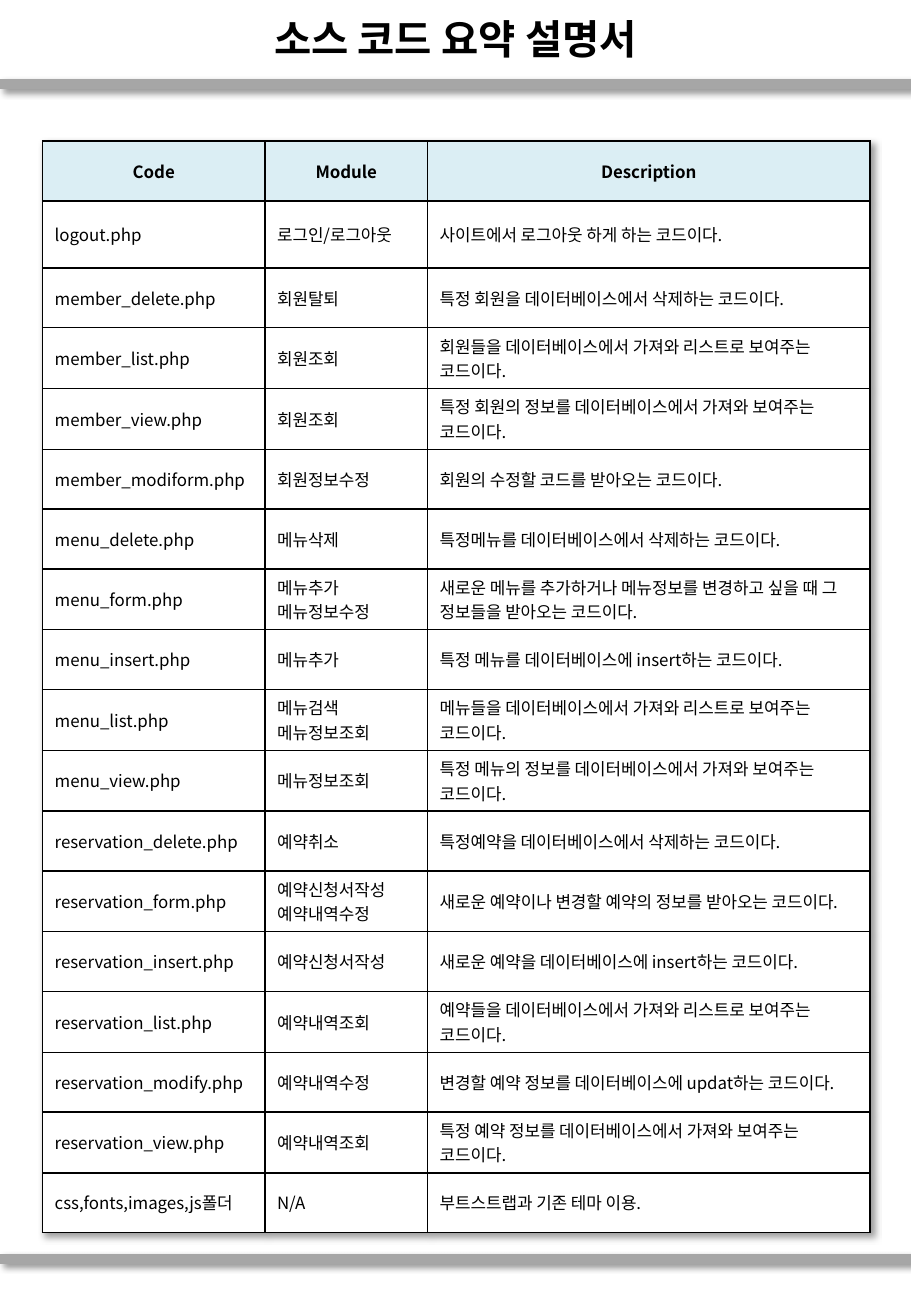
from lxml import etree
from pptx import Presentation
from pptx.dml.color import RGBColor
from pptx.enum.shapes import MSO_CONNECTOR
from pptx.enum.text import MSO_ANCHOR, MSO_AUTO_SIZE, PP_ALIGN
from pptx.oxml import parse_xml
from pptx.oxml.ns import nsdecls, qn
from pptx.util import Cm, Pt

STRAIGHT = MSO_CONNECTOR.STRAIGHT
MIDDLE = MSO_ANCHOR.MIDDLE
NO_FIT = MSO_AUTO_SIZE.NONE
CENTER, LEFT = PP_ALIGN.CENTER, PP_ALIGN.LEFT

BLACK = RGBColor(0x00, 0x00, 0x00)
WHITE = RGBColor(0xFF, 0xFF, 0xFF)
GRAY = RGBColor(0xA6, 0xA6, 0xA6)
AQUA = RGBColor(0xDB, 0xEE, 0xF4)

LATIN = "Arial"
HANGUL = "Noto Sans CJK KR"

WIDTH, HEIGHT = Cm(19.05), Cm(27.51)
COLS = (4.65, 3.4, 9.25)
ROW, TALL = 1.25, 1.4

HEAD = ("Code", "Module", "Description")
FILES = [
    ("logout.php", "로그인/로그아웃", "사이트에서 로그아웃 하게 하는 코드이다."),
    ("member_delete.php", "회원탈퇴", "특정 회원을 데이터베이스에서 삭제하는 코드이다."),
    ("member_list.php", "회원조회",
     "회원들을 데이터베이스에서 가져와 리스트로 보여주는 코드이다."),
    ("member_view.php", "회원조회",
     "특정 회원의 정보를 데이터베이스에서 가져와 보여주는 코드이다."),
    ("member_modiform.php", "회원정보수정", "회원의 수정할 코드를 받아오는 코드이다."),
    ("menu_delete.php", "메뉴삭제", "특정메뉴를 데이터베이스에서 삭제하는 코드이다."),
    ("menu_form.php", "메뉴추가\n메뉴정보수정",
     "새로운 메뉴를 추가하거나 메뉴정보를 변경하고 싶을 때 그 정보들을 받아오는 코드이다."),
    ("menu_insert.php", "메뉴추가", "특정 메뉴를 데이터베이스에 insert하는 코드이다."),
    ("menu_list.php", "메뉴검색\n메뉴정보조회",
     "메뉴들을 데이터베이스에서 가져와 리스트로 보여주는 코드이다."),
    ("menu_view.php", "메뉴정보조회",
     "특정 메뉴의 정보를 데이터베이스에서 가져와 보여주는 코드이다."),
    ("reservation_delete.php", "예약취소",
     "특정예약을 데이터베이스에서 삭제하는 코드이다."),
    ("reservation_form.php", "예약신청서작성\n예약내역수정",
     "새로운 예약이나 변경할 예약의 정보를 받아오는 코드이다."),
    ("reservation_insert.php", "예약신청서작성",
     "새로운 예약을 데이터베이스에 insert하는 코드이다."),
    ("reservation_list.php", "예약내역조회",
     "예약들을 데이터베이스에서 가져와 리스트로 보여주는 코드이다."),
    ("reservation_modify.php", "예약내역수정",
     "변경할 예약 정보를 데이터베이스에 updat하는 코드이다."),
    ("reservation_view.php", "예약내역조회",
     "특정 예약 정보를 데이터베이스에서 가져와 보여주는 코드이다."),
    ("css,fonts,images,js폴더", "N/A", "부트스트랩과 기존 테마 이용."),
]


def make_shadow():
    return parse_xml(
        f'<a:effectLst {nsdecls("a")}>'
        '<a:outerShdw blurRad="50800" dist="38100" dir="2700000" algn="tl"'
        ' rotWithShape="0"><a:srgbClr val="000000"><a:alpha val="40000"/>'
        '</a:srgbClr></a:outerShdw></a:effectLst>')


def add_run(para, text, size, face, bold):
    run = para.add_run()
    run.text = text
    font = run.font
    font.size, font.name, font.bold = Pt(size), face, bold
    font.color.rgb = BLACK
    east = etree.Element(qn("a:ea"), typeface=HANGUL)
    font._element.find(qn("a:latin")).addnext(east)


def add_title(slide, text):
    title = slide.shapes.title
    title.left, title.top = Cm(0), Cm(0.03)
    title.width, title.height = WIDTH, Cm(1.52)
    frame = title.text_frame
    frame.auto_size = NO_FIT
    frame.vertical_anchor = MIDDLE
    para = frame.paragraphs[0]
    para.alignment = CENTER
    add_run(para, text, 24, LATIN, True)


def add_rule(slide, top):
    rule = slide.shapes.add_connector(STRAIGHT, Cm(0), top, WIDTH, top)
    rule.line.color.rgb = GRAY
    rule.line.width = Pt(6)
    rule._element.spPr.append(make_shadow())


def set_edges(cell):
    props = cell._tc.get_or_add_tcPr()
    for spot, side in enumerate("LRTB"):
        props.insert(spot, parse_xml(
            f'<a:ln{side} {nsdecls("a")} w="{Pt(1)}"><a:solidFill>'
            f'<a:srgbClr val="{BLACK}"/></a:solidFill></a:ln{side}>'))


def fill_cell(cell, text, is_head):
    cell.fill.solid()
    cell.fill.fore_color.rgb = AQUA if is_head else WHITE
    cell.vertical_anchor = MIDDLE
    set_edges(cell)
    frame = cell.text_frame
    for index, line in enumerate(text.split("\n")):
        para = frame.add_paragraph() if index else frame.paragraphs[0]
        para.alignment = CENTER if is_head else LEFT
        add_run(para, line, 10, HANGUL, is_head)


def add_table(slide, rows):
    heights = [TALL if index == 1 else ROW for index in range(len(rows))]
    frame = slide.shapes.add_table(
        len(rows), len(COLS), Cm(0.89), Cm(2.95),
        Cm(sum(COLS)), Cm(sum(heights)))
    table = frame.table
    table.horz_banding = False
    table._tbl.tblPr.insert(0, make_shadow())
    for col, width in zip(table.columns, COLS):
        col.width = Cm(width)
    for r, (texts, height) in enumerate(zip(rows, heights)):
        table.rows[r].height = Cm(height)
        for c, text in enumerate(texts):
            fill_cell(table.cell(r, c), text, r == 0)


def main():
    deck = Presentation()
    deck.slide_width, deck.slide_height = WIDTH, HEIGHT
    slide = deck.slides.add_slide(deck.slide_layouts.get_by_name("Title Only"))
    for top in (Cm(1.75), Cm(26.31)):
        add_rule(slide, top)
    add_title(slide, "소스 코드 요약 설명서")
    add_table(slide, [HEAD] + FILES)
    deck.save("out.pptx")


if __name__ == "__main__":
    main()
